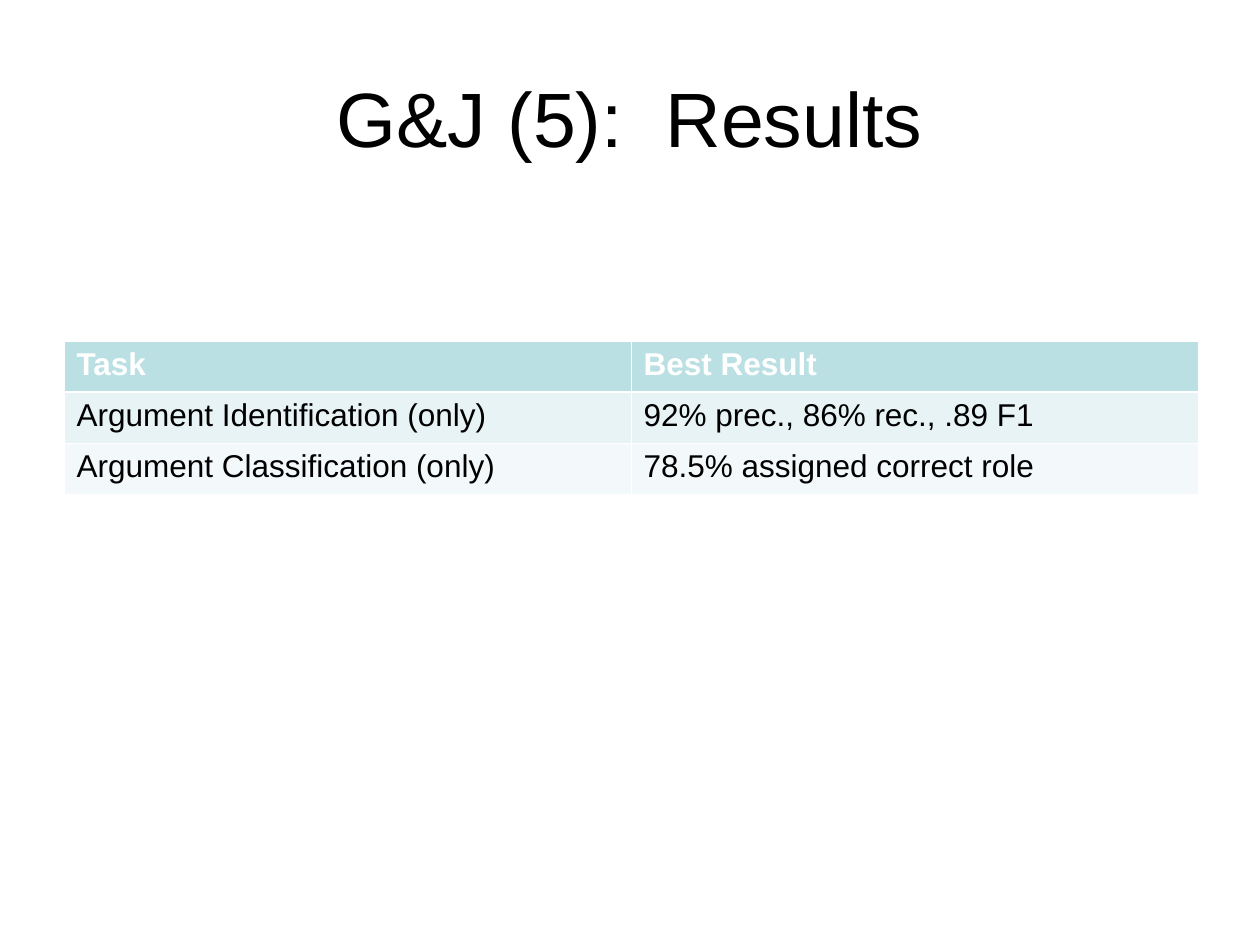
"""Build the results slide with its title and table."""
from dataclasses import dataclass

from lxml.etree import SubElement
from pptx import Presentation
from pptx.dml.color import RGBColor as Rgb
from pptx.enum.text import MSO_ANCHOR as Anchor, PP_ALIGN as Align
from pptx.oxml.ns import qn
from pptx.util import Emu, Pt

EMU_PER_PIXEL = 914400 / 126


@dataclass(frozen=True)
class Theme:
    font: str = "Arial"
    title_size: int = 44
    table_size: int = 18
    ink: str = "000000"
    light: str = "FFFFFF"
    row_fills: tuple = ("BBE0E3", "E7F3F4", "F3F9FA")
    thin: float = 0.45
    thick: float = 1.47


THEME = Theme()
RESULTS = (
    ("Task", "Best Result"),
    ("Argument Identification (only)", "92% prec., 86% rec., .89 F1"),
    ("Argument Classification (only)", "78.5% assigned correct role"),
)


def px(length):
    return Emu(round(length * EMU_PER_PIXEL))


def format_text(frame, size, color, bold=False, align=Align.LEFT):
    for paragraph in frame.paragraphs:
        paragraph.alignment = align
        for run in paragraph.runs:
            run.font.name = THEME.font
            run.font.size = Pt(size)
            run.font.bold = bold
            run.font.color.rgb = Rgb.from_string(color)


def add_title(slide, text):
    title = slide.shapes.title
    title.left, title.top, title.width, title.height = map(px, (63, 38, 1134, 158))
    frame = title.text_frame
    frame.text = text
    frame.vertical_anchor = Anchor.MIDDLE
    format_text(frame, THEME.title_size, THEME.ink, align=Align.CENTER)


def set_borders(cell, **widths):
    properties = cell._tc.get_or_add_tcPr()
    for side, width in widths.items():
        line = SubElement(properties, qn(f"a:ln{side}"), w=str(Pt(width)))
        fill = SubElement(line, qn("a:solidFill"))
        SubElement(fill, qn("a:srgbClr"), val=THEME.light)


def format_cell(cell, row):
    header = row == 0
    set_borders(
        cell,
        L=THEME.thin,
        R=THEME.thin,
        T=THEME.thick if row == 1 else THEME.thin,
        B=THEME.thick if header else THEME.thin,
    )
    cell.fill.solid()
    cell.fill.fore_color.rgb = Rgb.from_string(THEME.row_fills[row])
    color = THEME.light if header else THEME.ink
    format_text(cell.text_frame, THEME.table_size, color, bold=header)


def add_results(slide, results):
    rows, columns = len(results), len(results[0])
    frame = slide.shapes.add_table(
        rows, columns, px(64), px(341), px(567 * columns), px(51 * rows)
    )
    for row, values in enumerate(results):
        for column, value in enumerate(values):
            cell = frame.table.cell(row, column)
            cell.text_frame.text = value
            format_cell(cell, row)


def main():
    deck = Presentation()
    deck.slide_width, deck.slide_height = px(1260), px(945)
    slide = deck.slides.add_slide(deck.slide_layouts.get_by_name("Title Only"))
    add_title(slide, "G&J (5):  Results")
    add_results(slide, RESULTS)
    deck.save("out.pptx")


main()
